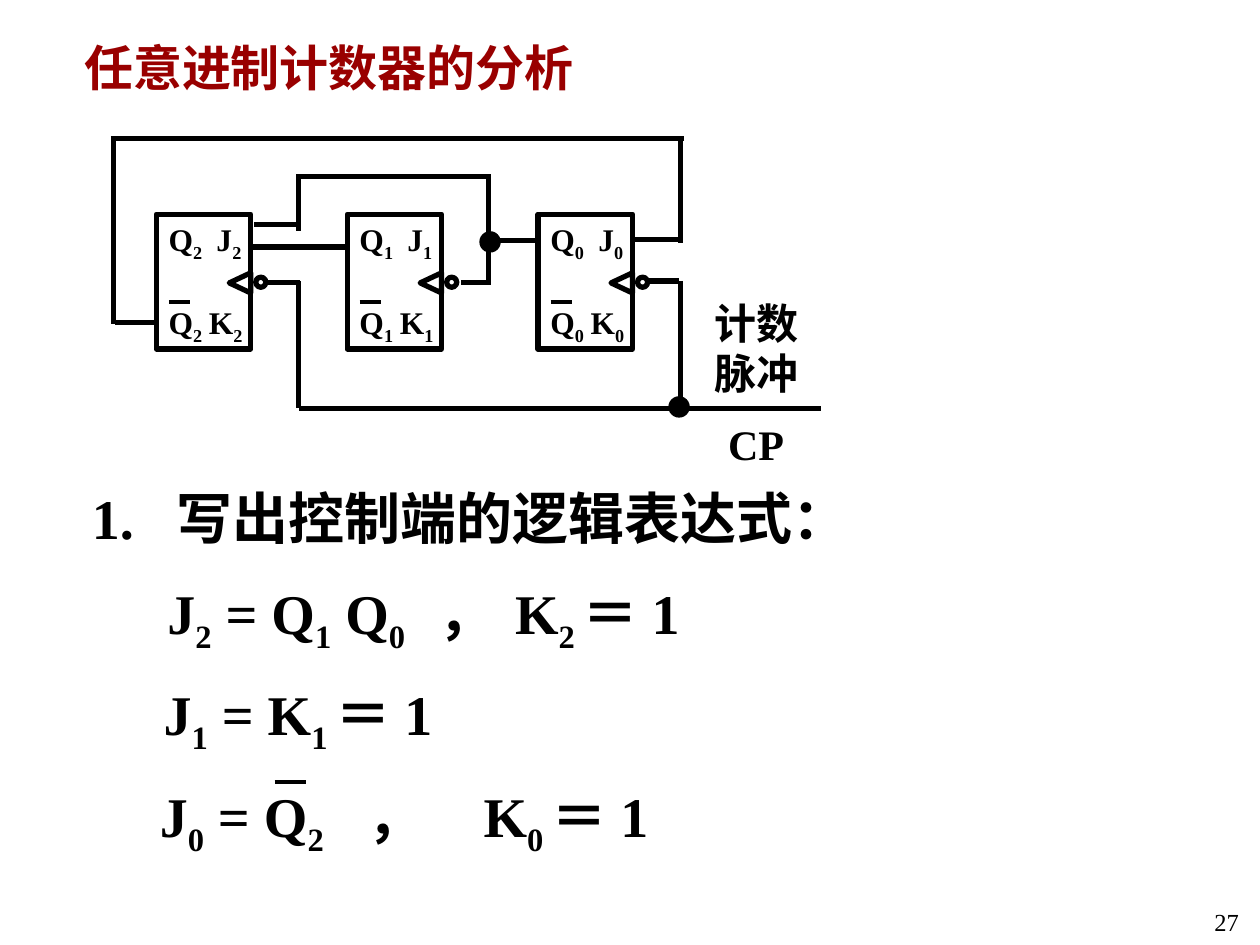
from dataclasses import dataclass

from lxml.etree import SubElement
from pptx import Presentation
from pptx.dml.color import RGBColor
from pptx.enum.shapes import MSO_CONNECTOR, MSO_SHAPE
from pptx.enum.text import PP_ALIGN
from pptx.oxml.ns import qn
from pptx.util import Inches, Pt


@dataclass(frozen=True)
class Theme:
    """Colours, type sizes and line widths of the slide."""
    font: str = "Times New Roman"
    black: RGBColor = RGBColor(0, 0, 0)
    red: RGBColor = RGBColor(0x99, 0, 0)
    title: int = 28
    body: int = 32
    note: int = 24
    pin: int = 18
    page: int = 14
    wire: float = 3
    bar: float = 2.25
    thin: float = 0.75


THEME = Theme()
COLS, ROWS = 100, 75


def cell(count):
    """Turn a count of grid cells into a length."""
    return Inches(count / 10)


def label(slide, text, box, size, color=THEME.black, bold=True, align=PP_ALIGN.LEFT, tabs=()):
    """Write one line of text, with subscripts set between bars."""
    frame = slide.shapes.add_textbox(*map(cell, box)).text_frame
    frame.word_wrap = True
    para = frame.paragraphs[0]
    para.alignment = align
    if tabs:
        stops = SubElement(para._p.get_or_add_pPr(), qn("a:tabLst"))
        for stop in tabs:
            SubElement(stops, qn("a:tab"), pos=str(cell(stop)), algn="l")
    for place, part in enumerate(text.split("|")):
        if not part:
            continue
        run = para.add_run()
        run.text = part
        font = run.font
        font.name, font.size, font.bold = THEME.font, Pt(size), bold
        font.color.rgb = color
        if place % 2:
            run._r.get_or_add_rPr().set("baseline", "-25000")


def wire(slide, x1, y1, x2, y2, width=THEME.wire):
    """Draw a straight line between two grid points."""
    ends = map(cell, (x1, y1, x2, y2))
    line = slide.shapes.add_connector(MSO_CONNECTOR.STRAIGHT, *ends)
    line.line.color.rgb = THEME.black
    line.line.width = Pt(width)
    SubElement(line._element.spPr, qn("a:effectLst"))


def form(slide, kind, box, width=THEME.wire, solid=False, turn=0):
    """Draw a black outline or a solid black shape."""
    shape = slide.shapes.add_shape(kind, *map(cell, box))
    shape.shadow.inherit = False
    shape.rotation = turn
    shape.line.color.rgb = THEME.black
    shape.line.width = Pt(width)
    if solid:
        shape.fill.solid()
        shape.fill.fore_color.rgb = THEME.black
    else:
        shape.fill.background()


def latch(slide, left, digit):
    """Draw one flip-flop with its pins and clock input."""
    top = 17
    form(slide, MSO_SHAPE.RECTANGLE, (left, top, 7.5, 10.7))
    form(slide, MSO_SHAPE.FLOWCHART_EXTRACT, (left + 5.85, top + 4.6, 1.6, 1.7), turn=270)
    form(slide, MSO_SHAPE.OVAL, (left + 7.9, top + 5, 0.8, 0.8))
    pins = (("Q", 0, 0), ("J", 3.8, 0), ("Q", 0, 6.6), ("K", 3.2, 6.6))
    for name, right, down in pins:
        label(slide, f"{name}|{digit}|", (left + right, top + down, 7, 4.4), THEME.pin)
    wire(slide, left + 1, top + 7, left + 2.7, top + 7, THEME.bar)


def wiring(slide):
    """Join the flip-flops and mark the nodes."""
    lines = (
        (19.9, 19.6, 27.6, 19.6), (20.2, 17.8, 23.7, 17.8),
        (23.7, 14, 23.7, 18.3), (23.5, 14, 39, 14),
        (38.8, 14, 38.8, 22.4), (36.6, 22.4, 39, 22.4),
        (39, 19.1, 42.8, 19.1), (50.2, 19, 54.2, 19),
        (54, 11, 54, 19.3), (8.8, 11, 54.3, 11),
        (9, 11, 9, 25.7), (9.1, 25.6, 12.5, 25.6),
        (21.3, 22.4, 23.8, 22.4), (23.7, 22.3, 23.7, 32.4),
        (51.4, 22.3, 53.9, 22.3), (54, 22.3, 54, 32.4),
        (23.7, 32.4, 65.2, 32.4),
    )
    for ends in lines:
        wire(slide, *ends)
    for left, top in ((38.1, 18.4), (53.1, 31.5)):
        form(slide, MSO_SHAPE.OVAL, (left, top, 1.6, 1.6), THEME.thin, solid=True)


def main():
    """Build the slide and save it."""
    deck = Presentation()
    deck.slide_width, deck.slide_height = cell(COLS), cell(ROWS)
    slide = deck.slides.add_slide(deck.slide_layouts[6])
    label(slide, "任意进制计数器的分析", (5.7, 2.5, 59, 5.7), THEME.title, THEME.red)
    for place, digit in enumerate((2, 1, 0)):
        latch(slide, 12.4 + 15.15 * place, digit)
    wiring(slide)
    label(slide, "计数脉冲", (55.7, 23.1, 9.8, 9), THEME.note)
    label(slide, "CP", (56.8, 32.7, 7.3, 5), THEME.note)
    label(slide, "1.\t写出控制端的逻辑表达式：", (6.3, 37.9, 67.8, 6.4), THEME.body, tabs=(6.7,))
    sums = (
        ("J|2| = Q|1| Q|0|\t，\tK|2 |＝ 1", 12.3, (21.5, 27.6)),
        ("J|1| = K|1 |＝ 1", 12, ()),
        ("J|0| = Q|2|\t，\tK|0 |＝ 1", 11.7, (16.5, 25.7)),
    )
    for place, (text, left, tabs) in enumerate(sums):
        label(slide, text, (left, 45.4 + 8.05 * place, 55.7, 7.1), THEME.body, tabs=tabs)
    wire(slide, 21.8, 62.1, 24.3, 62.1, THEME.bar)
    label(slide, "27", (78.5, 71.5, 20.8, 3.4), THEME.page, bold=False, align=PP_ALIGN.RIGHT)
    deck.save("out.pptx")


if __name__ == "__main__":
    main()
